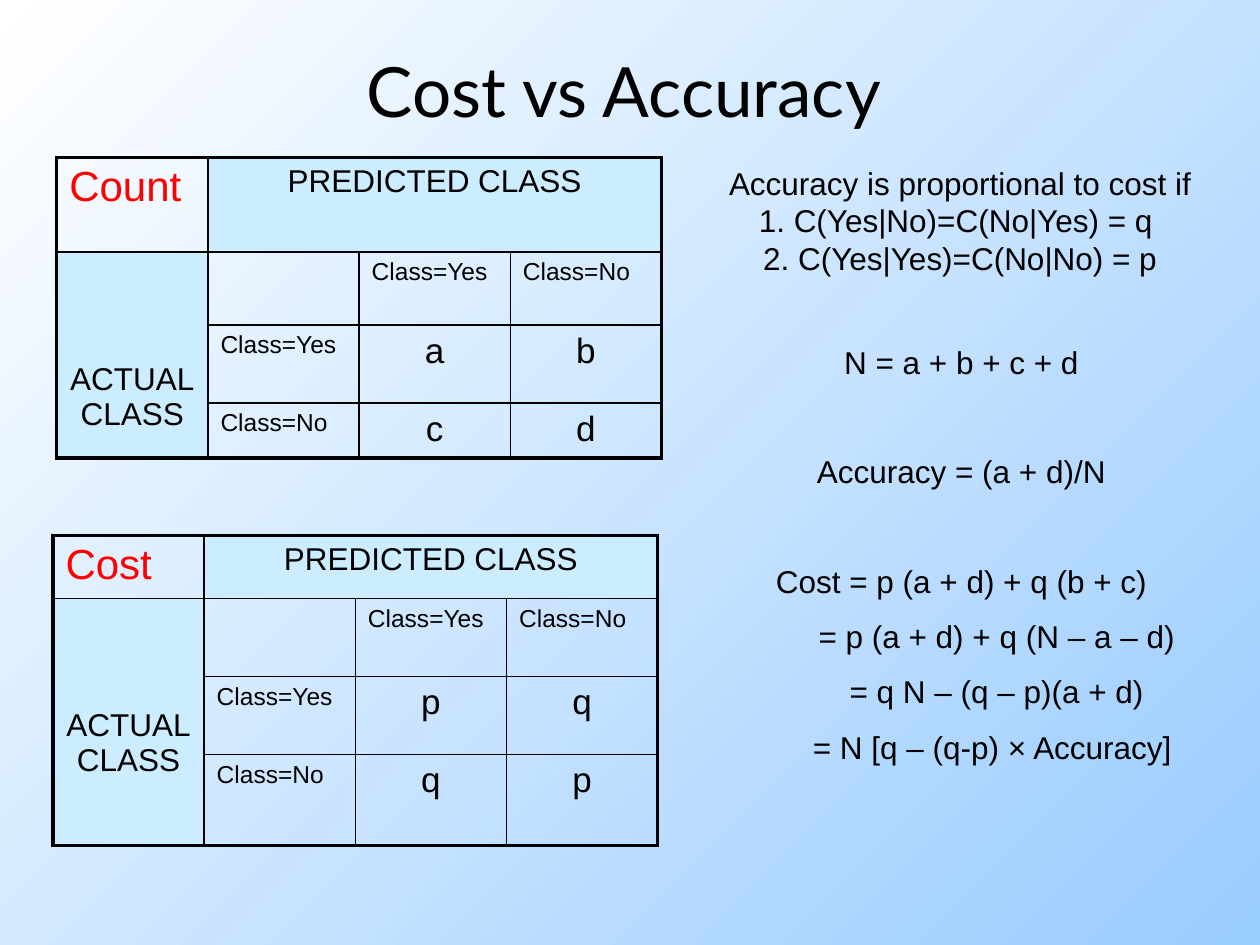
from dataclasses import dataclass

import pptx
import pptx.dml.color
import pptx.enum.text
import pptx.oxml
import pptx.oxml.ns
import pptx.util

Inches = pptx.util.Inches
Pt = pptx.util.Pt
ALIGN = pptx.enum.text.PP_ALIGN
ANCHOR = pptx.enum.text.MSO_ANCHOR

BLACK, RED, WHITE = "000000", "FF0000", "FFFFFF"
HEADER_FILL, SKY = "CCECFF", "99CCFF"
THICK, THIN = 2.25, 1
COLUMN_WIDTH = 1.2
LINE_GAP, BLOCK_GAP = 10, 41
EQUALS_INDENT = 0.56


@dataclass
class Matrix:
    name: str
    left: float
    top: float
    row_heights: tuple[float, ...]
    values: tuple[str, str, str, str]


@dataclass
class Formula:
    text: str
    before: float = LINE_GAP
    indent: float = 0


MATRICES = [
    Matrix("Count", 0.45, 1.25, (0.75, 0.58, 0.62, 0.43), ("a", "b", "c", "d")),
    Matrix("Cost", 0.42, 4.25, (0.49, 0.62, 0.62, 0.72), ("p", "q", "q", "p")),
]

FORMULAS = [
    Formula("N = a + b + c + d", 0),
    Formula("Accuracy = (a + d)/N", BLOCK_GAP),
    Formula("Cost = p (a + d) + q (b + c)", BLOCK_GAP),
    Formula("= p (a + d) + q (N – a – d)", indent=EQUALS_INDENT),
    Formula("= q N – (q – p)(a + d)", indent=EQUALS_INDENT),
    Formula("= N [q – (q-p) × Accuracy] ", indent=EQUALS_INDENT),
]

CONDITIONS = (
    "Accuracy is proportional to cost if\v"
    "1. C(Yes|No)=C(No|Yes) = q \v"
    "2. C(Yes|Yes)=C(No|No) = p"
)


def rgb(color: str) -> pptx.dml.color.RGBColor:
    return pptx.dml.color.RGBColor.from_string(color)


def write(tf, text: str, *, size=18, color=BLACK, font="Arial",
          align=ALIGN.CENTER, before=0.0, indent=0.0) -> None:
    p = tf.paragraphs[-1]
    if p.text:
        p = tf.add_paragraph()
    p.text = text
    p.alignment = align
    if before:
        p.space_before = Pt(before)
    if indent:
        p._p.get_or_add_pPr().set("marL", str(Inches(indent)))
    for r in p.runs:
        r.font.size = Pt(size)
        r.font.name = font
        r.font.color.rgb = rgb(color)


def add_box(s, left: float, top: float, width: float, height: float,
            anchor=ANCHOR.TOP):
    tf = s.shapes.add_textbox(
        Inches(left), Inches(top), Inches(width), Inches(height)).text_frame
    tf.word_wrap = True
    tf.vertical_anchor = anchor
    return tf


def set_borders(cell, row: int, col: int, last: int) -> None:
    outer = {
        "lnL": col == 0,
        "lnR": col + cell.span_width - 1 == last,
        "lnT": row == 0,
        "lnB": row + cell.span_height - 1 == last,
    }
    for tag, is_outer in outer.items():
        width = Pt(THICK if is_outer else THIN)
        cell._tc.get_or_add_tcPr().append(pptx.oxml.parse_xml(
            f'<a:{tag} {pptx.oxml.ns.nsdecls("a")} w="{width}"><a:solidFill>'
            f'<a:srgbClr val="{BLACK}"/></a:solidFill></a:{tag}>'))


def add_matrix(s, matrix: Matrix) -> None:
    n = len(matrix.row_heights)
    table = s.shapes.add_table(
        n, n, Inches(matrix.left), Inches(matrix.top),
        Inches(n * COLUMN_WIDTH), Inches(sum(matrix.row_heights))).table
    table.first_row = table.horz_banding = False
    for column in table.columns:
        column.width = Inches(COLUMN_WIDTH)
    for row, height in zip(table.rows, matrix.row_heights):
        row.height = Inches(height)

    predicted, actual = table.cell(0, 1), table.cell(1, 0)
    predicted.merge(table.cell(0, n - 1))
    actual.merge(table.cell(n - 1, 0))
    for row in range(n):
        for col in range(n):
            cell = table.cell(row, col)
            set_borders(cell, row, col, n - 1)
            if (row == 0) != (col == 0):
                cell.fill.solid()
                cell.fill.fore_color.rgb = rgb(HEADER_FILL)
            else:
                cell.fill.background()

    write(table.cell(0, 0).text_frame, matrix.name, size=24, color=RED,
          align=ALIGN.LEFT)
    write(predicted.text_frame, "PREDICTED CLASS")
    actual.margin_top = Inches(0.87)
    write(actual.text_frame, "ACTUAL\vCLASS")
    for i, label in enumerate(("Class=Yes", "Class=No"), start=2):
        for cell in (table.cell(1, i), table.cell(i, 1)):
            write(cell.text_frame, label, size=14, align=ALIGN.LEFT)
    for i, value in enumerate(matrix.values):
        cell = table.cell(2 + i // 2, 2 + i % 2)
        write(cell.text_frame, value, size=20)


def set_background(s) -> None:
    fill = s.background.fill
    fill.gradient()
    fill.gradient_angle = 315
    for stop, color in zip(fill.gradient_stops, (WHITE, SKY)):
        stop.color.rgb = rgb(color)


def main() -> None:
    """Build the slide that compares cost with accuracy."""
    prs = pptx.Presentation()
    prs.slide_width, prs.slide_height = Inches(10), Inches(7.5)
    s = prs.slides.add_slide(prs.slide_layouts[6])
    set_background(s)
    write(add_box(s, 0.42, 0.42, 9.06, 0.58, ANCHOR.MIDDLE),
          "Cost vs Accuracy", size=39.6, font="Lato")
    for matrix in MATRICES:
        add_matrix(s, matrix)
    tf = add_box(s, 5.67, 2.67, 3.92, 4.01)
    for formula in FORMULAS:
        write(tf, formula.text, before=formula.before, indent=formula.indent)
    write(add_box(s, 5.58, 1.25, 4.08, 1), CONDITIONS)
    prs.save("out.pptx")


if __name__ == "__main__":
    main()
